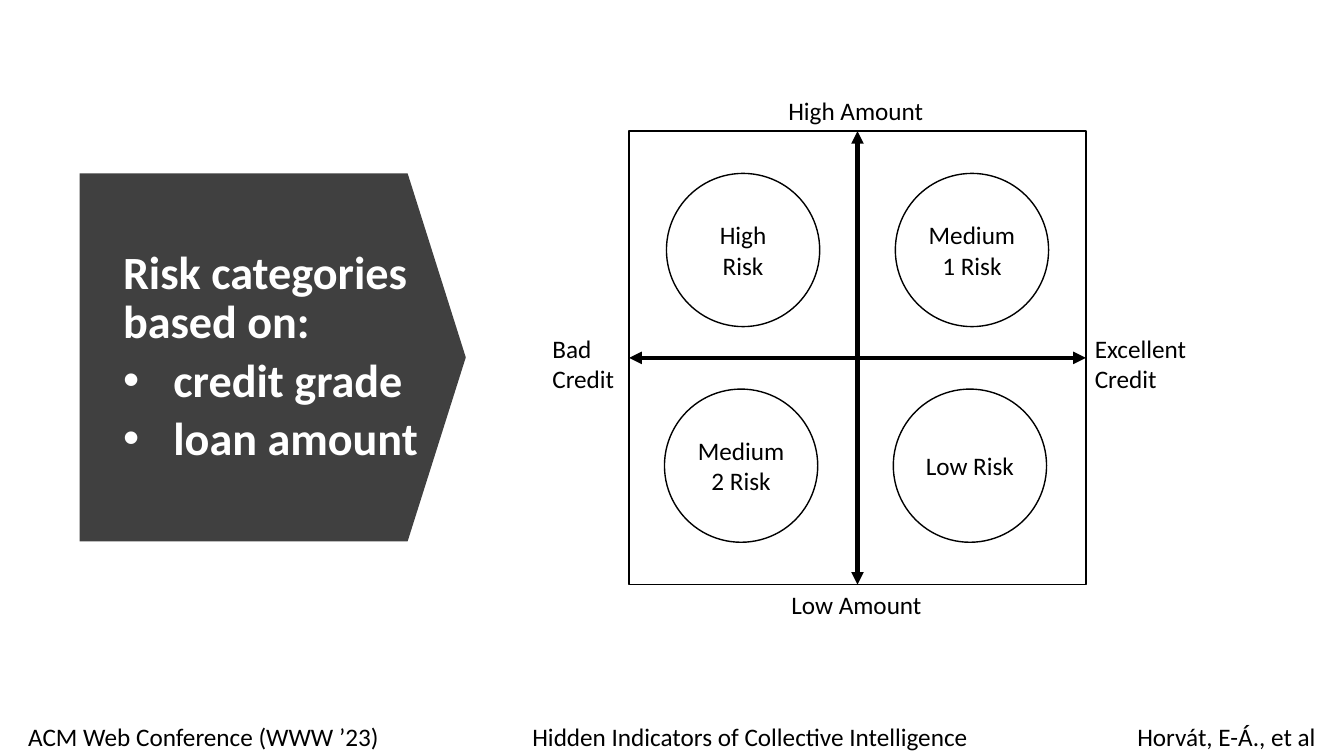
from lxml import etree
from pptx import Presentation
from pptx import util as u
from pptx.dml.color import RGBColor
from pptx.enum import shapes, text
from pptx.oxml.ns import qn

BLACK = RGBColor(0x00, 0x00, 0x00)
WHITE = RGBColor(0xFF, 0xFF, 0xFF)
CHARCOAL = RGBColor(0x40, 0x40, 0x40)
EMU_PER_PX = 9144  # 100 px to the inch

LABEL_FONT = {"name": "Calibri", "size": u.Pt(18), "bold": False}
HEADING_FONT = {"name": "Calibri", "size": u.Pt(33), "bold": True}


def px(length):
    return u.Emu(length * EMU_PER_PX)


def set_all(target, values):
    for name, value in values.items():
        setattr(target, name, value)


class RiskSlide:
    def __init__(self, presentation):
        self.slide = presentation.slides.add_slide(presentation.slide_layouts[5])
        self.shapes = self.slide.shapes

    def style_text(self, frame, font, color, paragraph_format):
        for paragraph in frame.paragraphs:
            set_all(paragraph, paragraph_format)
            set_all(paragraph.font, font)
            paragraph.font.color.rgb = color

    def shape(self, kind, box, fill=None, line=None):
        shape = self.shapes.add_shape(kind, *map(px, box))
        shape.shadow.inherit = False
        if fill is None:
            shape.fill.background()
        else:
            shape.fill.solid()
            shape.fill.fore_color.rgb = fill
        if line is None:
            shape.line.fill.background()
        else:
            shape.line.color.rgb = line
            shape.line.width = u.Pt(1)
        return shape

    def circle(self, box, words):
        circle = self.shape(shapes.MSO_SHAPE.OVAL, box, line=BLACK)
        frame = circle.text_frame
        set_all(frame, {"text": words, "word_wrap": True,
                        "vertical_anchor": text.MSO_ANCHOR.MIDDLE})
        self.style_text(frame, LABEL_FONT, BLACK, {"alignment": text.PP_ALIGN.CENTER})

    def label(self, box, words, wrap=False):
        frame = self.shapes.add_textbox(*map(px, box)).text_frame
        set_all(frame, {"text": words, "word_wrap": wrap,
                        "auto_size": text.MSO_AUTO_SIZE.SHAPE_TO_FIT_TEXT})
        self.style_text(frame, LABEL_FONT, BLACK, {"alignment": text.PP_ALIGN.LEFT})
        return frame

    def footer(self, box, parts, start, stops):
        frame = self.label(box, "\t".join(parts), wrap=True)
        frame.margin_left = px(start)
        properties = frame.paragraphs[0]._p.get_or_add_pPr()
        tabs = etree.SubElement(properties, qn("a:tabLst"))
        for stop in stops:
            etree.SubElement(tabs, qn("a:tab"), pos=str(px(stop)), algn="l")
        defaults = properties.find(qn("a:defRPr"))
        if defaults is not None:
            defaults.addprevious(tabs)

    def title(self, box, heading, bullets):
        title = self.shapes.title
        set_all(title, dict(zip(("left", "top", "width", "height"), map(px, box))))
        self.shapes._spTree.append(title._element)  # bring in front of the arrow
        frame = title.text_frame
        set_all(frame, {"text": "\n".join([heading, *bullets]), "word_wrap": True,
                        "vertical_anchor": text.MSO_ANCHOR.MIDDLE,
                        "auto_size": text.MSO_AUTO_SIZE.NONE})
        for paragraph in frame.paragraphs[1:]:
            properties = paragraph._p.get_or_add_pPr()
            properties.set("marL", str(px(50)))
            properties.set("indent", str(-px(50)))
            etree.SubElement(properties, qn("a:buFont"), typeface="Arial")
            etree.SubElement(properties, qn("a:buChar"), char="•")
        self.style_text(frame, HEADING_FONT, WHITE, {
            "alignment": text.PP_ALIGN.LEFT, "line_spacing": 0.9, "space_after": u.Pt(6)})

    def axis(self, frame, begin_site, end_site):
        """Draw a double-headed arrow between two side midpoints of frame."""
        axis = self.shapes.add_connector(shapes.MSO_CONNECTOR.STRAIGHT, 0, 0, 0, 0)
        axis.begin_connect(frame, begin_site)
        axis.end_connect(frame, end_site)
        axis.line.color.rgb = BLACK
        axis.line.width = u.Pt(3)
        line = axis.line._get_or_add_ln()
        for end in ("a:headEnd", "a:tailEnd"):
            etree.SubElement(line, qn(end), type="triangle")
        etree.SubElement(axis._element.spPr, qn("a:effectLst"))


def main():
    presentation = Presentation()
    presentation.slide_width, presentation.slide_height = px(1333), px(750)
    slide = RiskSlide(presentation)

    arrow = slide.shape(shapes.MSO_SHAPE.DOWN_ARROW, (88, 163, 365, 383), fill=CHARCOAL)
    arrow.rotation = 270
    arrow.adjustments[0], arrow.adjustments[1] = 1, 0.158
    slide.title((112, 215, 324, 279), "Risk categories based on:",
                ["credit grade", "loan amount"])

    matrix = slide.shape(shapes.MSO_SHAPE.RECTANGLE, (624, 130, 453, 450), line=BLACK)
    slide.axis(matrix, 0, 2)
    slide.axis(matrix, 3, 1)

    for box, words in (
        ((772, 90, 156, 40), "High Amount"),
        ((775, 580, 151, 40), "Low Amount"),
        ((1076, 326, 118, 71), "Excellent\nCredit"),
        ((538, 326, 82, 71), "Bad\nCredit"),
    ):
        slide.label(box, words)

    risks = (("High Risk", "Medium 1 Risk"), ("Medium 2 Risk", "Low Risk"))
    for row, names in enumerate(risks):
        for column, name in enumerate(names):
            left, top = 661 + 227 * column - 2 * row, 172 + 214 * row
            slide.circle((left, top, 152, 152), name)

    slide.footer((0, 711, 1333, 40),
                 ("ACM Web Conference (WWW ’23)",
                  "Hidden Indicators of Collective Intelligence",
                  "Horvát, E-Á., et al"), start=28, stops=(500, 1100))
    presentation.save("out.pptx")


if __name__ == "__main__":
    main()
